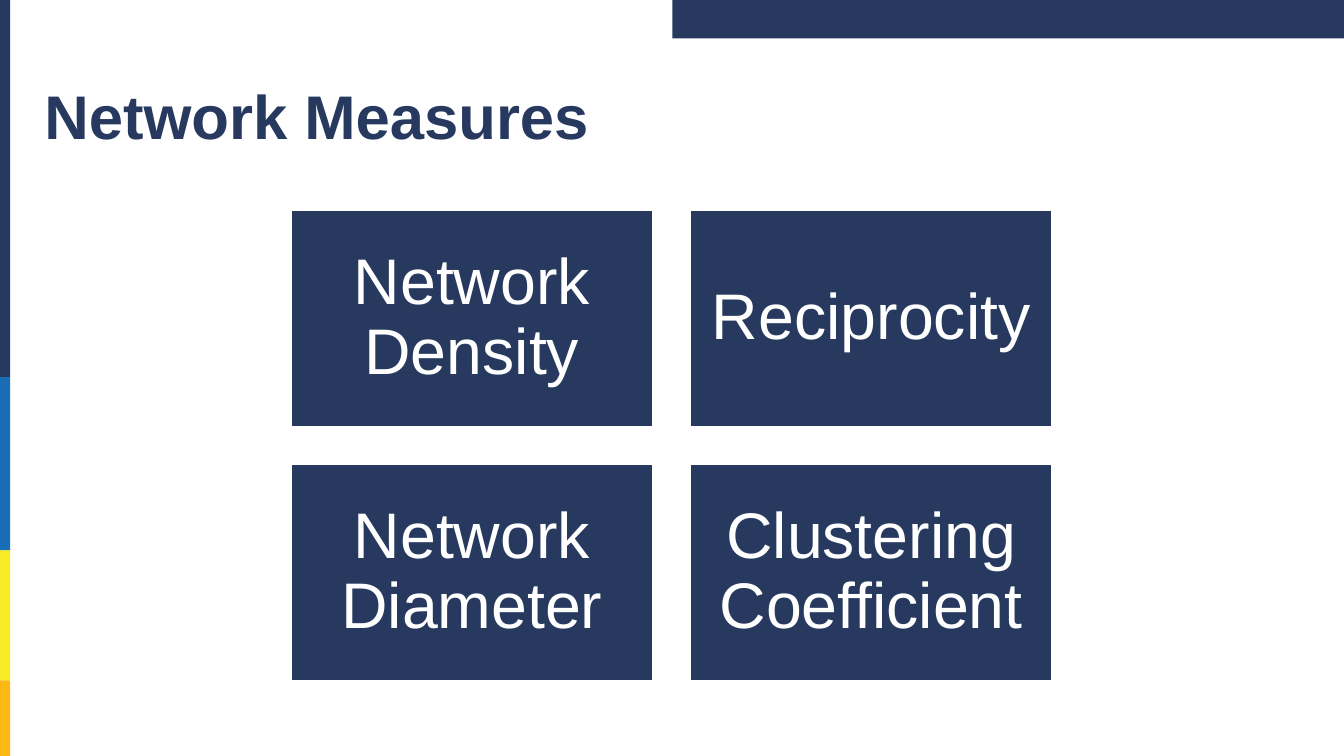
from pptx import Presentation
from pptx import util as u
from pptx.dml.color import RGBColor
from pptx.enum import shapes, text

NAVY = RGBColor(0x27, 0x39, 0x5F)
BLUE = RGBColor(0x17, 0x6E, 0xB4)
YELLOW = RGBColor(0xF7, 0xEB, 0x25)
AMBER = RGBColor(0xFC, 0xB8, 0x13)
WHITE = RGBColor(0xFF, 0xFF, 0xFF)


class SlideBuilder:
    font_name = "Arial"

    def __init__(self, slide):
        self.slide = slide

    def set_words(self, frame, words, size, color, align, inset, bold=False):
        frame.text = words
        frame.word_wrap = True
        frame.auto_size = text.MSO_AUTO_SIZE.NONE
        frame.vertical_anchor = text.MSO_ANCHOR.MIDDLE
        frame.margin_left = frame.margin_right = u.Inches(inset[0])
        frame.margin_top = frame.margin_bottom = u.Inches(inset[1])
        paragraph = frame.paragraphs[0]
        paragraph.alignment = align
        paragraph.line_spacing = 0.9
        font = paragraph.runs[0].font
        font.name = self.font_name
        font.size = u.Pt(size)
        font.bold = bold
        font.color.rgb = color

    def title(self, words, left, top, width, height):
        heading = self.slide.shapes.title
        heading.left, heading.top = u.Inches(left), u.Inches(top)
        heading.width, heading.height = u.Inches(width), u.Inches(height)
        self.set_words(heading.text_frame, words, 44, NAVY,
                       text.PP_ALIGN.LEFT, (0.1, 0.05), bold=True)

    def bar(self, left, top, width, height, color):
        block = self.slide.shapes.add_shape(
            shapes.MSO_SHAPE.RECTANGLE, u.Inches(left), u.Inches(top),
            u.Inches(width), u.Inches(height))
        block.shadow.inherit = False
        block.fill.solid()
        block.fill.fore_color.rgb = color
        block.line.fill.background()
        return block

    def card(self, words, left, top, width, height):
        block = self.bar(left, top, width, height, NAVY)
        block.line.color.rgb = WHITE
        block.line.width = u.Pt(2)
        self.set_words(block.text_frame, words, 46, WHITE,
                       text.PP_ALIGN.CENTER, (0.19, 0.19))


def main():
    deck = Presentation()
    deck.slide_width, deck.slide_height = u.Inches(13.33), u.Inches(7.5)
    builder = SlideBuilder(deck.slides.add_slide(deck.slide_layouts[5]))

    stripe_top = 0
    for height, color in ((3.74, NAVY), (1.72, BLUE), (1.29, YELLOW), (0.75, AMBER)):
        builder.bar(0, stripe_top, 0.1, height, color)
        stripe_top += height
    builder.bar(6.67, 0, 6.66, 0.38, NAVY)
    builder.title("Network Measures", 0.34, 0.53, 12.65, 1.32)

    measures = ("Network Density", "Reciprocity",
                "Network Diameter", "Clustering Coefficient")
    card_width, card_height, gap = 3.6, 2.16, 0.36
    for index, measure in enumerate(measures):
        row, column = divmod(index, 2)
        builder.card(measure, 2.88 + column * (card_width + gap),
                     2.08 + row * (card_height + gap), card_width, card_height)

    deck.save("out.pptx")


if __name__ == "__main__":
    main()
